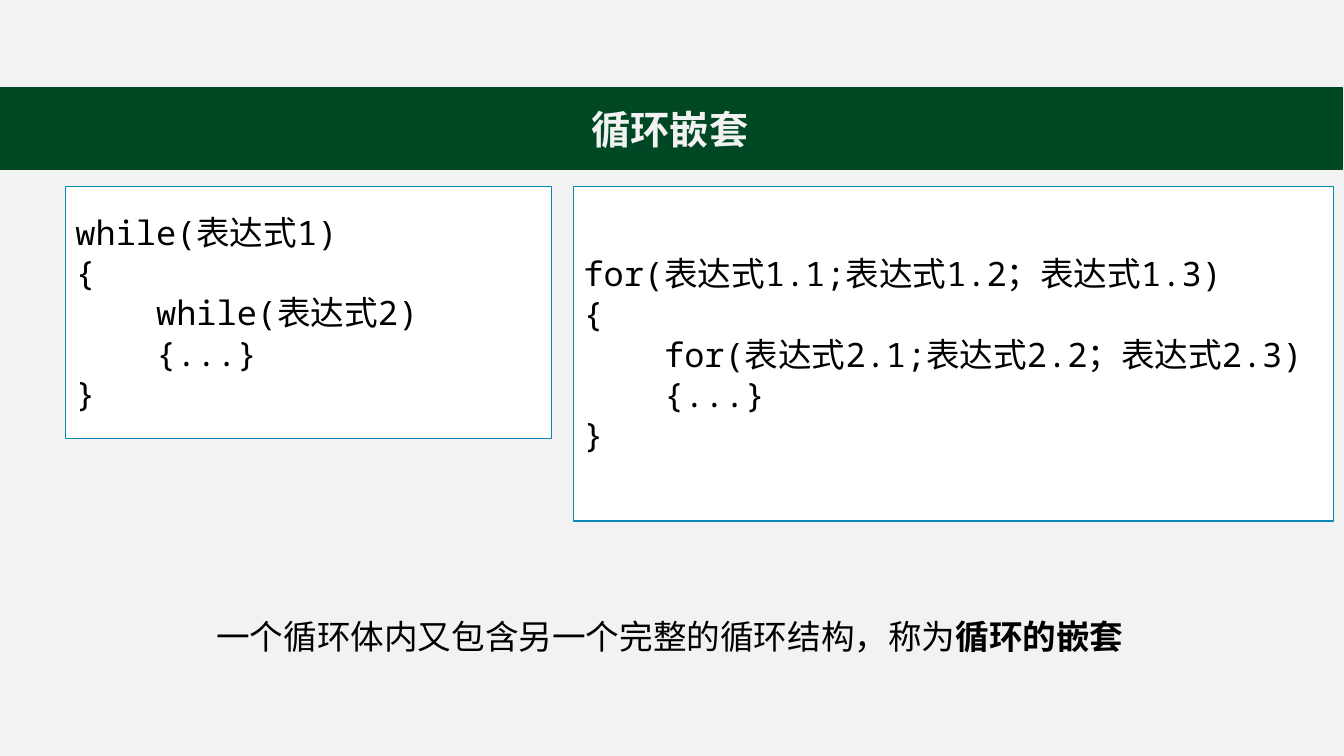
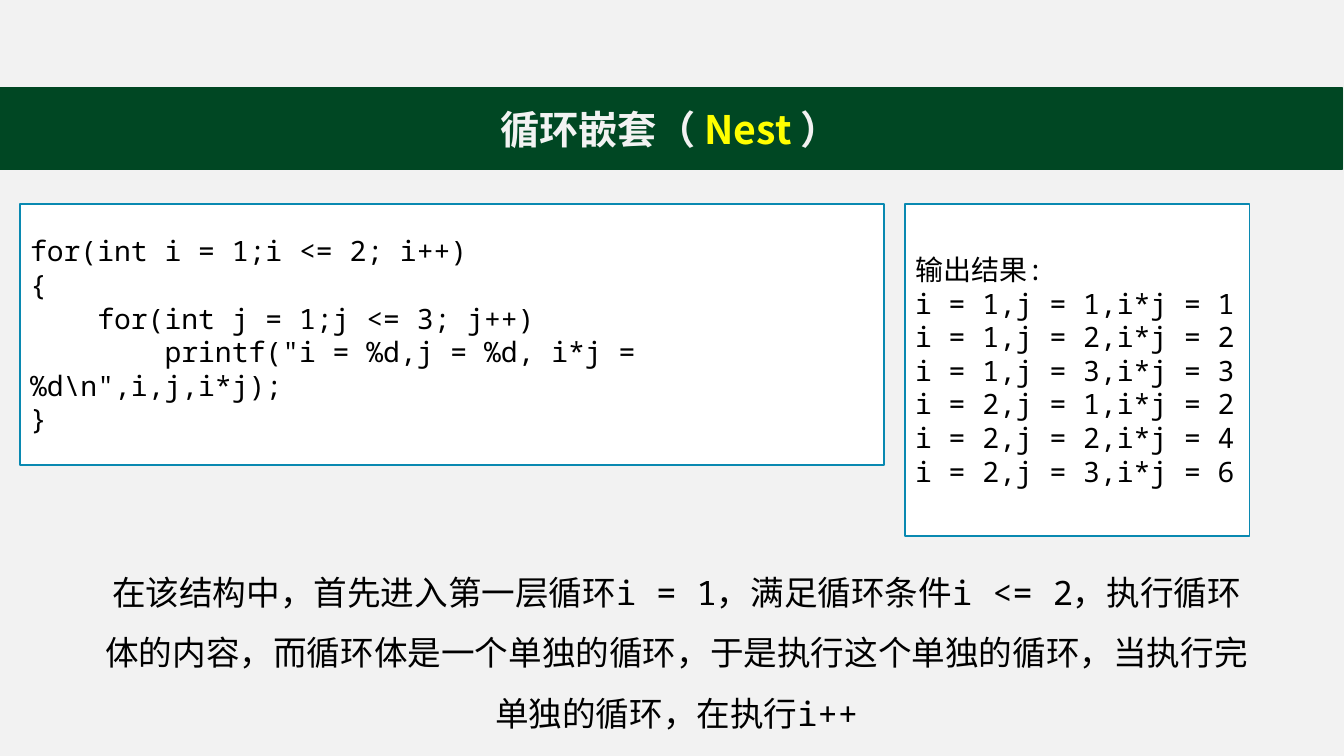
import pptx
import pptx.util
import pptx.dml.color
import pptx.enum.shapes
import pptx.enum.text
import pptx.oxml.ns
from lxml import etree

Pt = pptx.util.Pt
ALIGN = pptx.enum.text.PP_ALIGN
ANCHOR = pptx.enum.text.MSO_ANCHOR


class Deck:
    """Holds the shared style and the current slide."""

    W, H = 960, 540
    BAND_TOP, BAND_H = 62.6, 58.4
    COLORS = {
        "page": "F2F2F2",
        "band": "004723",
        "key": "FFFF00",
        "box": "FFFFFF",
        "border": "0989B1",
        "text": "000000",
    }
    SANS, MONO = "Noto Sans CJK SC", "Noto Sans Mono"

    def __init__(self):
        self.prs = pptx.Presentation()
        self.prs.slide_width, self.prs.slide_height = Pt(self.W), Pt(self.H)
        self.s = None

    def color(self, name):
        return pptx.dml.color.RGBColor.from_string(self.COLORS[name])

    def slide(self, *title):
        """Start a slide with its page colour, top strip and title band."""
        self.s = self.prs.slides.add_slide(self.prs.slide_layouts[6])
        fill = self.s.background.fill
        fill.solid()
        fill.fore_color.rgb = self.color("page")
        self.rect(0, 0, self.W, self.BAND_TOP, "page")
        sp = self.rect(-1.5, self.BAND_TOP, self.W, self.BAND_H, "band", "band")
        p = sp.text_frame.paragraphs[0]
        p.alignment = ALIGN.CENTER
        for text, color in title:
            self.run(p, text, 28, self.SANS, color, bold=True)

    def rect(self, x, y, w, h, fill, line=None):
        sp = self.s.shapes.add_shape(
            pptx.enum.shapes.MSO_SHAPE.RECTANGLE, Pt(x), Pt(y), Pt(w), Pt(h))
        sp.shadow.inherit = False
        sp.fill.solid()
        sp.fill.fore_color.rgb = self.color(fill)
        if line:
            sp.line.color.rgb = self.color(line)
            sp.line.width = Pt(1)
        else:
            sp.line.fill.background()
        sp.text_frame.vertical_anchor = ANCHOR.MIDDLE
        return sp

    def run(self, p, text, size, font, color="text", bold=False):
        r = p.add_run()
        r.text = text
        r.font.size = Pt(size)
        r.font.bold = bold
        r.font.color.rgb = self.color(color)
        r.font.name = font
        # East Asian typeface for the Chinese characters
        latin = r.font._element.find(pptx.oxml.ns.qn("a:latin"))
        ea = etree.Element(pptx.oxml.ns.qn("a:ea"), typeface=self.SANS)
        latin.addnext(ea)

    def code(self, x, y, w, h, size, text):
        """White framed box with one paragraph per line of code."""
        tf = self.rect(x, y, w, h, "box", "border").text_frame
        tf.word_wrap = True
        for i, line in enumerate(text.split("\n")):
            p = tf.add_paragraph() if i else tf.paragraphs[0]
            p.alignment = ALIGN.LEFT
            self.run(p, line, size, self.MONO)

    def note(self, x, y, w, h, font, *runs):
        """Centred explanation below the boxes."""
        tf = self.s.shapes.add_textbox(Pt(x), Pt(y), Pt(w), Pt(h)).text_frame
        tf.word_wrap = True
        tf.auto_size = pptx.enum.text.MSO_AUTO_SIZE.SHAPE_TO_FIT_TEXT
        tf.margin_left = tf.margin_right = tf.margin_top = tf.margin_bottom = 0
        p = tf.paragraphs[0]
        p.alignment = ALIGN.CENTER
        p.line_spacing = 1.5
        for text, bold in runs:
            self.run(p, text, 24, font, bold=bold)


WHILE_LOOP = """while(表达式1)
{
    while(表达式2)
    {...}
}"""

FOR_LOOP = """for(表达式1.1;表达式1.2；表达式1.3)
{
    for(表达式2.1;表达式2.2；表达式2.3)
    {...}
}"""

EXAMPLE = r"""for(int i = 1;i <= 2; i++)
{
    for(int j = 1;j <= 3; j++)
        printf("i = %d,j = %d, i*j = %d\n",i,j,i*j);
}"""

OUTPUT = "\n".join(["输出结果:"] + [
    f"i = {i},j = {j},i*j = {i * j}" for i in (1, 2) for j in (1, 2, 3)])


def main():
    d = Deck()

    # Slide 1: the two forms of nesting
    d.slide(("循环嵌套", "page"))
    d.note(114.5, 425.5, 728, 44, d.SANS,
           ("一个循环体内又包含另一个完整的循环结构，称为", False),
           ("循环的嵌套", True))
    d.code(46.8, 133.2, 347, 180, 24, WHILE_LOOP)
    d.code(409.7, 133.2, 543, 239, 24, FOR_LOOP)

    # Slide 2: an example and its output
    d.slide(("循环嵌套（ ", "page"), ("Nest ", "key"), ("）", "page"))
    d.note(74.2, 393.8, 818, 131, d.MONO,
           ("在该结构中，首先进入第一层循环i = 1，满足循环条件i <= 2，"
            "执行循环体的内容，而循环体是一个单独的循环，"
            "于是执行这个单独的循环，当执行完单独的循环，在执行i++", False))
    d.code(14.4, 145.8, 617, 186.5, 20, EXAMPLE)
    d.code(646.5, 145.8, 246.2, 237, 20, OUTPUT)

    d.prs.save("out.pptx")


if __name__ == "__main__":
    main()
